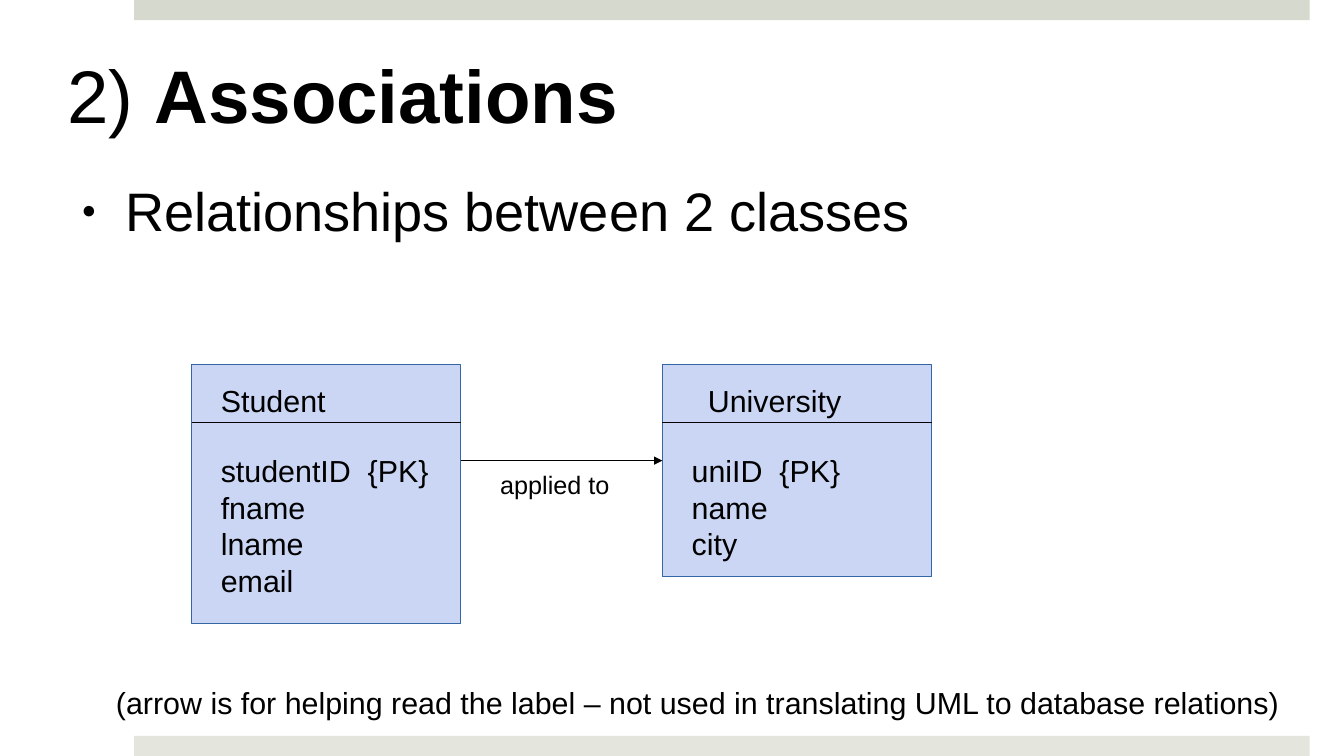
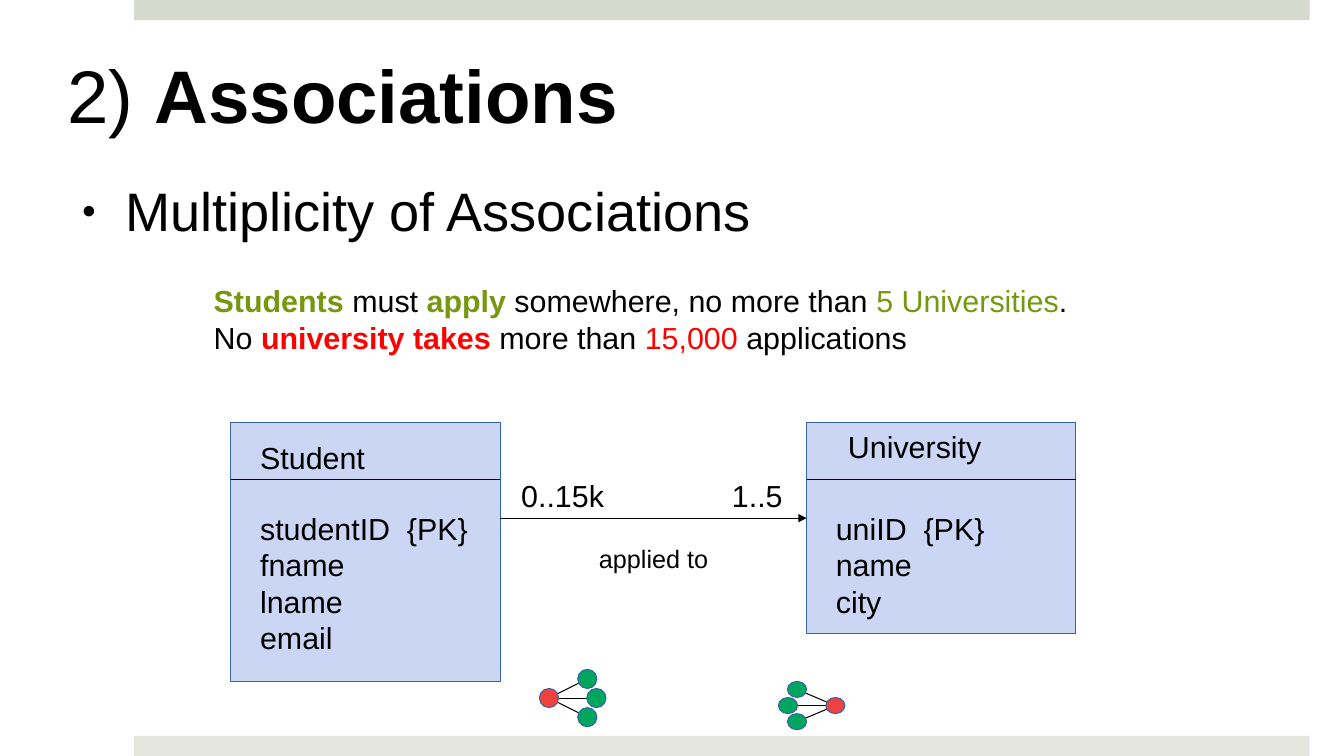
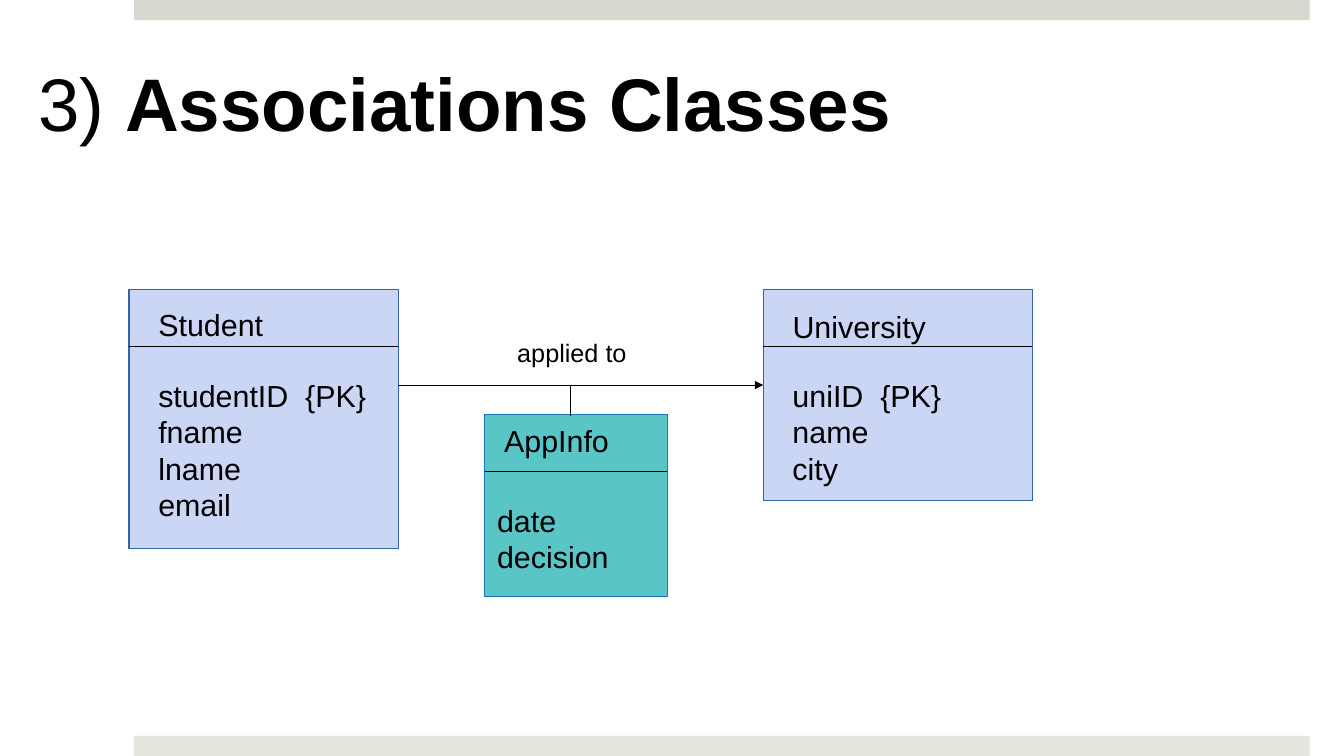
from dataclasses import dataclass

from lxml import etree
from pptx import Presentation
from pptx.dml.color import RGBColor
from pptx.enum.shapes import MSO_CONNECTOR, MSO_SHAPE
from pptx.enum.text import MSO_ANCHOR, MSO_AUTO_SIZE, PP_ALIGN
from pptx.oxml.ns import qn
from pptx.util import Inches, Pt

RECT, OVAL = MSO_SHAPE.RECTANGLE, MSO_SHAPE.OVAL
STRAIGHT = MSO_CONNECTOR.STRAIGHT
MIDDLE, TOP = MSO_ANCHOR.MIDDLE, MSO_ANCHOR.TOP
LEFT = PP_ALIGN.LEFT
NO_FIT = MSO_AUTO_SIZE.NONE


@dataclass(frozen=True)
class Theme:
    font: str = "Arial"
    ink: str = "000000"
    olive: str = "799611"
    red: str = "FF0000"
    pale: str = "CAD6F4"
    edge: str = "3465A4"
    teal: str = "59C5C7"
    blue: str = "1B75BC"
    green: str = "00A65D"
    hub: str = "EF413D"
    head: str = "D6D9CD"
    foot: str = "E4E6DE"
    title: float = 53.2
    body: float = 38.7
    text: float = 21.7
    label: float = 18
    line: float = 0.75


T = Theme()
STUDENT = ["studentID  {PK}", "fname", "lname", "email"]
SCHOOL = ["uniID  {PK}", "name", "city"]


def write(para, runs, size):
    """Add runs given as (text, bold, colour); a newline is a line break."""
    for text, bold, color in runs:
        if text == "\n":
            para.add_line_break()
            continue
        run = para.add_run()
        run.text = text
        font = run.font
        font.name, font.size, font.bold = T.font, Pt(size), bold
        font.color.rgb = RGBColor.from_string(color)


def plain(text):
    return [(text, False, T.ink)]


def place(shape, x, y, w, h):
    shape.left, shape.top = Inches(x), Inches(y)
    shape.width, shape.height = Inches(w), Inches(h)


def inset(frame, x, y):
    frame.margin_left = frame.margin_right = Inches(x)
    frame.margin_top = frame.margin_bottom = Inches(y)


def note(slide, x, y, w, h, paras, size=T.text):
    frame = slide.shapes.add_textbox(
        Inches(x), Inches(y), Inches(w), Inches(h)).text_frame
    frame.word_wrap = True
    inset(frame, 0.12, 0.06)
    for i, runs in enumerate(paras):
        para = frame.add_paragraph() if i else frame.paragraphs[0]
        write(para, runs, size)


def solid(slide, kind, x, y, w, h, fill, edge=None):
    shape = slide.shapes.add_shape(
        kind, Inches(x), Inches(y), Inches(w), Inches(h))
    shape.shadow.inherit = False
    shape.fill.solid()
    shape.fill.fore_color.rgb = RGBColor.from_string(fill)
    if edge:
        shape.line.color.rgb = RGBColor.from_string(edge)
        shape.line.width = Pt(T.line)
    else:
        shape.line.fill.background()
    return shape


def link(slide, x1, y1, x2, y2, arrow=False):
    line = slide.shapes.add_connector(
        STRAIGHT, Inches(x1), Inches(y1), Inches(x2), Inches(y2))
    line.line.color.rgb = RGBColor.from_string(T.ink)
    line.line.width = Pt(T.line)
    if arrow:
        etree.SubElement(line.get_or_add_ln(), qn("a:tailEnd"), type="triangle")
    etree.SubElement(line.element.spPr, qn("a:effectLst"))


def bands(deck, slide):
    """Draw the two bands and hand them to the master behind all slides."""
    tree = deck.slide_master.shapes.element
    for y, fill in ((0, T.head), (7.3, T.foot)):
        tree.insert(2, solid(slide, RECT, 1.33, y, 11.66, 0.2, fill).element)


def title(slide, mark, text, x=0.67, y=0.3):
    shape = slide.shapes.title
    place(shape, x, y, 12, 1.25)
    frame = shape.text_frame
    frame.auto_size, frame.vertical_anchor = NO_FIT, MIDDLE
    inset(frame, 0, 0)
    para = frame.paragraphs[0]
    para.alignment = LEFT
    write(para, [(mark, False, T.ink), (text, True, T.ink)], T.title)


def point(slide, text):
    shape = slide.placeholders[1]
    place(shape, 0.67, 1.76, 12, 1.76)
    frame = shape.text_frame
    frame.auto_size, frame.vertical_anchor = NO_FIT, TOP
    inset(frame, 0, 0)
    para = frame.paragraphs[0]
    props = para._p.get_or_add_pPr()
    props.set("marL", str(Inches(0.57)))
    props.set("indent", str(Inches(-0.43)))
    color = etree.SubElement(props, qn("a:buClr"))
    etree.SubElement(color, qn("a:srgbClr"), val=T.ink)
    etree.SubElement(props, qn("a:buSzPct"), val="45000")
    etree.SubElement(props, qn("a:buFont"), typeface=T.font)
    etree.SubElement(props, qn("a:buChar"), char="●")
    para.space_before = Pt(0)
    write(para, plain(text), T.body)


def entity(slide, x, y, w, h, name, rows, shift=(0.17, 0.11), pad=0.17,
           fill=T.pale, edge=T.edge):
    """Draw a class box; shift places its name, pad indents its rows."""
    solid(slide, RECT, x, y, w, h, fill, edge)
    dx, dy = shift
    note(slide, x + dx, y + dy, w - dx - 0.15, 0.46, [plain(name)])
    note(slide, x + pad, y + 0.81, w - pad, h - 0.95,
         [plain(row) for row in rows])
    link(slide, x, y + 0.57, x + w, y + 0.57)


def pair(slide, x, y, far, shift, label):
    """Draw Student at x, University at far, and the labelled arrow."""
    w = 2.67
    entity(slide, x, y, w, 2.57, "Student", STUDENT)
    entity(slide, far, y, w, 2.1, "University", SCHOOL, shift)
    link(slide, x + w, y + 0.95, far, y + 0.95, arrow=True)
    dx, dy = label
    note(slide, x + w + dx, y + dy, 2.05, 0.46, [plain("applied to")], T.label)


def fan(slide, x, y, w, h, flip=False):
    """Draw one hub joined to three dots; flip puts the hub on the right."""
    wide, high = 0.19, h / 3

    def spot(dx, row):
        return x + (w - wide - dx if flip else dx), y + row * high

    hub = spot(0, 1)
    dots = [spot(0.38, 0), spot(0.47, 1), spot(0.38, 2)]
    for dot in dots:
        link(slide, hub[0] + wide / 2, hub[1] + high / 2,
             dot[0] + wide / 2, dot[1] + high / 2)
    for dot in dots:
        solid(slide, OVAL, *dot, wide, high, T.green, T.edge)
    solid(slide, OVAL, *hub, wide, high, T.hub, T.edge)


def basics(slide):
    title(slide, "2) ", "Associations")
    point(slide, "Relationships between 2 classes")
    pair(slide, 1.9, 3.62, 6.57, (0.33, 0.11), (0.27, 0.98))
    note(slide, 1.03, 6.73, 12, 0.42, [plain(
        "(arrow is for helping read the label – not used in "
        "translating UML to database relations)")])


def counts(slide):
    title(slide, "2) ", "Associations")
    point(slide, "Multiplicity of Associations")
    pair(slide, 2.29, 4.19, 8, (0.29, 0), (0.86, 1.14))
    for x, text in ((7.14, "1..5"), (5.05, "0..15k")):
        note(slide, x, 4.67, 1.3, 0.46, [plain(text)])
    note(slide, 2, 2.74, 9.63, 0.8, [[
        ("Students", True, T.olive),
        (" must ", False, T.ink),
        ("apply", True, T.olive),
        (" somewhere, no more than ", False, T.ink),
        ("5 Universities", False, T.olive),
        (".", False, T.ink),
        ("\n", False, T.ink),
        ("No ", False, T.ink),
        ("university takes", True, T.red),
        (" more than ", False, T.ink),
        ("15,000", False, T.red),
        (" applications", False, T.ink),
    ]])
    fan(slide, 5.35, 6.64, 0.66, 0.57)
    fan(slide, 7.71, 6.76, 0.67, 0.48, flip=True)


def classes(slide):
    title(slide, "3) ", "Associations Classes", 0.38, 0.38)
    pair(slide, 1.28, 2.87, 7.57, (0.17, 0.13), (1.06, 0.42))
    entity(slide, 4.81, 4.11, 1.81, 1.81, "AppInfo", ["date", "decision"],
           (0.07, 0.02), 0, T.teal, T.blue)
    link(slide, 5.66, 4.13, 5.66, 3.82)


def main():
    deck = Presentation()
    deck.slide_width, deck.slide_height = Inches(13.33), Inches(7.5)
    for layout, build in ((1, basics), (1, counts), (5, classes)):
        build(deck.slides.add_slide(deck.slide_layouts[layout]))
    bands(deck, deck.slides[0])
    deck.save("out.pptx")


if __name__ == "__main__":
    main()
